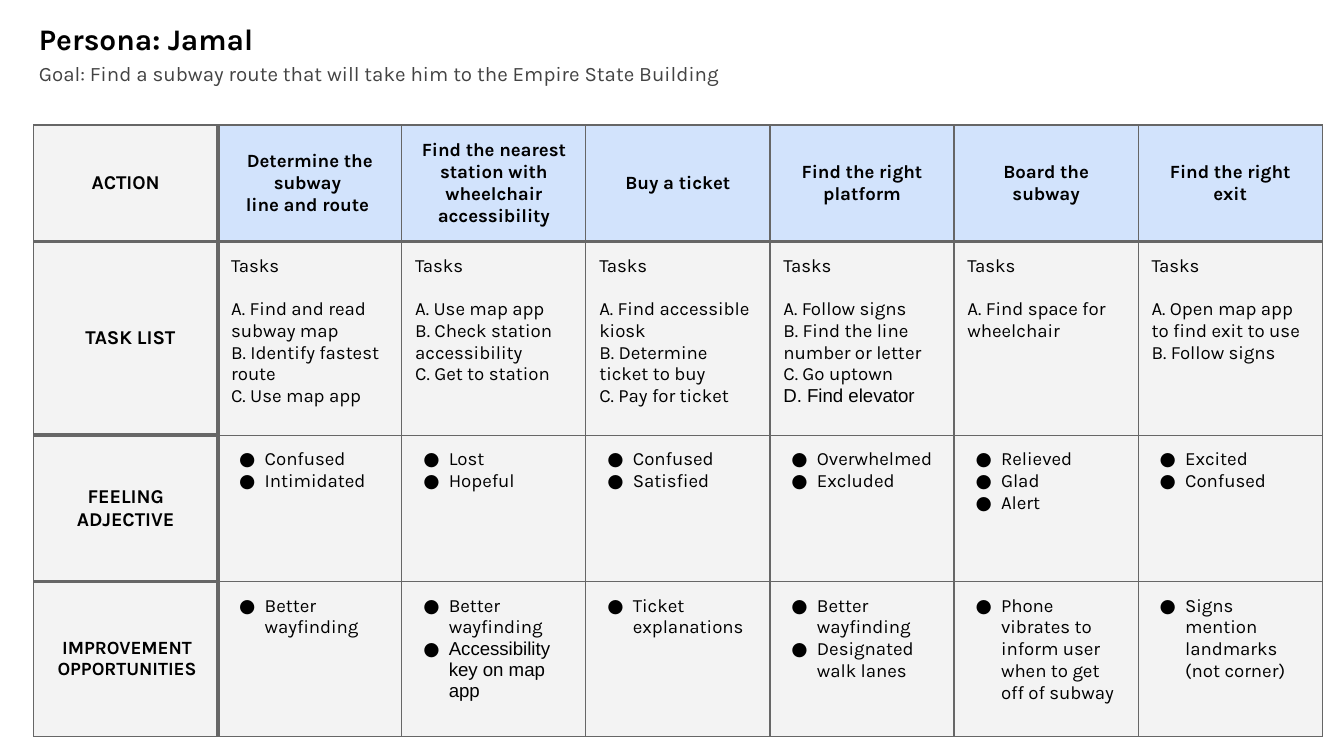
from lxml.etree import SubElement
from pptx import Presentation
from pptx.dml.color import RGBColor
from pptx.enum.text import MSO_ANCHOR, PP_ALIGN
from pptx.oxml import parse_xml
from pptx.oxml.ns import nsdecls, qn
from pptx.util import Inches, Pt

BLACK = RGBColor(0x00, 0x00, 0x00)
DARK_GREY = RGBColor(0x43, 0x43, 0x43)
BORDER_GREY = RGBColor(0x66, 0x66, 0x66)
LIGHT_GREY = RGBColor(0xF3, 0xF3, 0xF3)
LIGHT_BLUE = RGBColor(0xD2, 0xE3, 0xFC)
WHITE = RGBColor(0xFF, 0xFF, 0xFF)

FONT = "Karla"
THIN, THICK = 0.75, 2.25
MARGIN = Inches(0.1)
COLUMN_WIDTH = 1.37
ROW_HEIGHTS = [0.78, 1.44, 1.09, 1.15]
# Entries set in a font other than the main one
OTHER_FONTS = {"D. Find elevator": "Arial", "Accessibility key on map app": "Arial"}

# Row labels: lines and text size
LABELS = [
    (["ACTION"], 10.5),
    (["TASK LIST"], 10.5),
    (["FEELING ADJECTIVE"], 10.5),
    (["IMPROVEMENT", "OPPORTUNITIES"], 10.5),
]

# One entry per action: heading lines, tasks, feelings, improvements
ACTIONS = [
    (["Determine the subway ", "line and route "],
     ["A. Find and read subway map", "B. Identify fastest route", "C. Use map app"],
     ["Confused", "Intimidated"],
     ["Better wayfinding"]),
    (["Find the nearest station with wheelchair accessibility"],
     ["A. Use map app", "B. Check station accessibility", "C. Get to station"],
     ["Lost", "Hopeful"],
     ["Better wayfinding", "Accessibility key on map app"]),
    (["Buy a ticket"],
     ["A. Find accessible kiosk", "B. Determine ticket to buy", "C. Pay for ticket"],
     ["Confused", "Satisfied"],
     ["Ticket explanations"]),
    (["Find the right platform"],
     ["A. Follow signs", "B. Find the line number or letter", "C. Go uptown",
      "D. Find elevator"],
     ["Overwhelmed", "Excluded"],
     ["Better wayfinding", "Designated walk lanes"]),
    (["Board the subway"],
     ["A. Find space for wheelchair"],
     ["Relieved", "Glad", "Alert"],
     ["Phone vibrates to inform user when to get off of subway"]),
    (["Find the right exit"],
     ["A. Open map app to find exit to use", "B. Follow signs"],
     ["Excited", "Confused"],
     ["Signs mention landmarks (not corner)"]),
]
# The last label follows the size of the body text
LABELS[-1] = (LABELS[-1][0], 10)


def add_span(para, text, size, color=BLACK, bold=False):
    span = para.add_run()
    span.text = text
    span.font.name = OTHER_FONTS.get(text, FONT)
    span.font.size = Pt(size)
    span.font.bold = bold
    span.font.color.rgb = color
    # The paragraph mark takes the size of its text
    SubElement(para._p, qn("a:endParaRPr"), sz=str(int(size * 100)))


def set_margins(target):
    target.margin_left = target.margin_right = MARGIN
    target.margin_top = target.margin_bottom = MARGIN


def fill_line_box(box, place, text, size, color, bold=False):
    """Place a box and give it one left-aligned line of text."""
    box.left, box.top, box.width, box.height = [Inches(value) for value in place]
    frame = box.text_frame
    frame.word_wrap = True
    frame.vertical_anchor = MSO_ANCHOR.TOP
    set_margins(frame)
    para = frame.paragraphs[0]
    para.alignment = PP_ALIGN.LEFT
    add_span(para, text, size, color, bold)


def indent(para, left, hanging):
    properties = para._p.get_or_add_pPr()
    properties.set("marL", str(Inches(left)))
    properties.set("indent", str(-Inches(hanging)))
    return properties


def add_bullet(para):
    properties = indent(para, 0.25, 0.19)
    color = SubElement(properties, qn("a:buClr"))
    SubElement(color, qn("a:srgbClr"), val=str(BLACK))
    SubElement(properties, qn("a:buSzPts"), val="1000")
    SubElement(properties, qn("a:buFont"), typeface=FONT)
    SubElement(properties, qn("a:buChar"), char="●")


def set_borders(cell, row, column):
    """Thick lines set off the labels and the heading row."""
    label = column == 0
    thick_sides = {
        "L": column == 1,
        "R": label,
        "T": row == 1 or (label and row > 0),
        "B": row == 0 or (label and row < len(ROW_HEIGHTS) - 1),
    }
    properties = cell._tc.get_or_add_tcPr()
    for position, (side, thick) in enumerate(thick_sides.items()):
        width = Pt(THICK if thick else THIN)
        line = parse_xml(
            f'<a:ln{side} {nsdecls("a")} w="{width}"><a:solidFill>'
            f'<a:srgbClr val="{BORDER_GREY}"/></a:solidFill></a:ln{side}>')
        properties.insert(position, line)


def fill_cell(cell, lines, size, color, bold=False, centred=False):
    """Write one paragraph per line and return the paragraphs."""
    set_margins(cell)
    cell.fill.solid()
    cell.fill.fore_color.rgb = color
    cell.vertical_anchor = MSO_ANCHOR.MIDDLE if centred else MSO_ANCHOR.TOP
    frame = cell.text_frame
    for number, text in enumerate(lines):
        para = frame.paragraphs[0] if number == 0 else frame.add_paragraph()
        para.alignment = PP_ALIGN.CENTER if centred else PP_ALIGN.LEFT
        para.line_spacing = 1.0
        add_span(para, text, size, bold=bold)
    return frame.paragraphs


def add_journey_table(page):
    columns = len(ACTIONS) + 1
    table = page.shapes.add_table(
        len(ROW_HEIGHTS), columns, Inches(0.25), Inches(0.93),
        Inches(COLUMN_WIDTH * columns), Inches(sum(ROW_HEIGHTS))).table
    table.first_row = table.horz_banding = False
    for column in table.columns:
        column.width = Inches(COLUMN_WIDTH)
    for row, height in zip(table.rows, ROW_HEIGHTS):
        row.height = Inches(height)

    # Label column
    for row, (lines, size) in enumerate(LABELS):
        fill_cell(table.cell(row, 0), lines, size, LIGHT_GREY, bold=True, centred=True)
    indent(table.cell(1, 0).text_frame.paragraphs[0], 0.19, 0.12)
    table.cell(3, 0).margin_left = Inches(0.12)

    # Action columns
    for column, (heading, tasks, *bullet_lists) in enumerate(ACTIONS, start=1):
        fill_cell(table.cell(0, column), heading, 10, LIGHT_BLUE, bold=True, centred=True)
        paras = fill_cell(table.cell(1, column), ["Tasks"] + tasks, 10, LIGHT_GREY)
        paras[0].space_after = Pt(11.7)
        for row, entries in enumerate(bullet_lists, start=2):
            for para in fill_cell(table.cell(row, column), entries, 10, LIGHT_GREY):
                add_bullet(para)

    for row in range(len(ROW_HEIGHTS)):
        for column in range(columns):
            set_borders(table.cell(row, column), row, column)


def main():
    # Wide 16:9 page
    deck = Presentation()
    deck.slide_width = Inches(10)
    deck.slide_height = deck.slide_width * 9 // 16
    page = deck.slides.add_slide(deck.slide_layouts[5])
    page.background.fill.solid()
    page.background.fill.fore_color.rgb = WHITE

    # Persona and goal
    fill_line_box(page.shapes.title, (0.19, 0.05, 1.95, 0.44),
                  "Persona: Jamal", 16, BLACK, bold=True)
    goal_box = page.shapes.add_textbox(0, 0, 0, 0)
    fill_line_box(goal_box, (0.19, 0.36, 9.28, 0.3),
                  "Goal: Find a subway route that will take him to the Empire State Building",
                  11, DARK_GREY)

    add_journey_table(page)
    deck.save("out.pptx")


if __name__ == "__main__":
    main()
